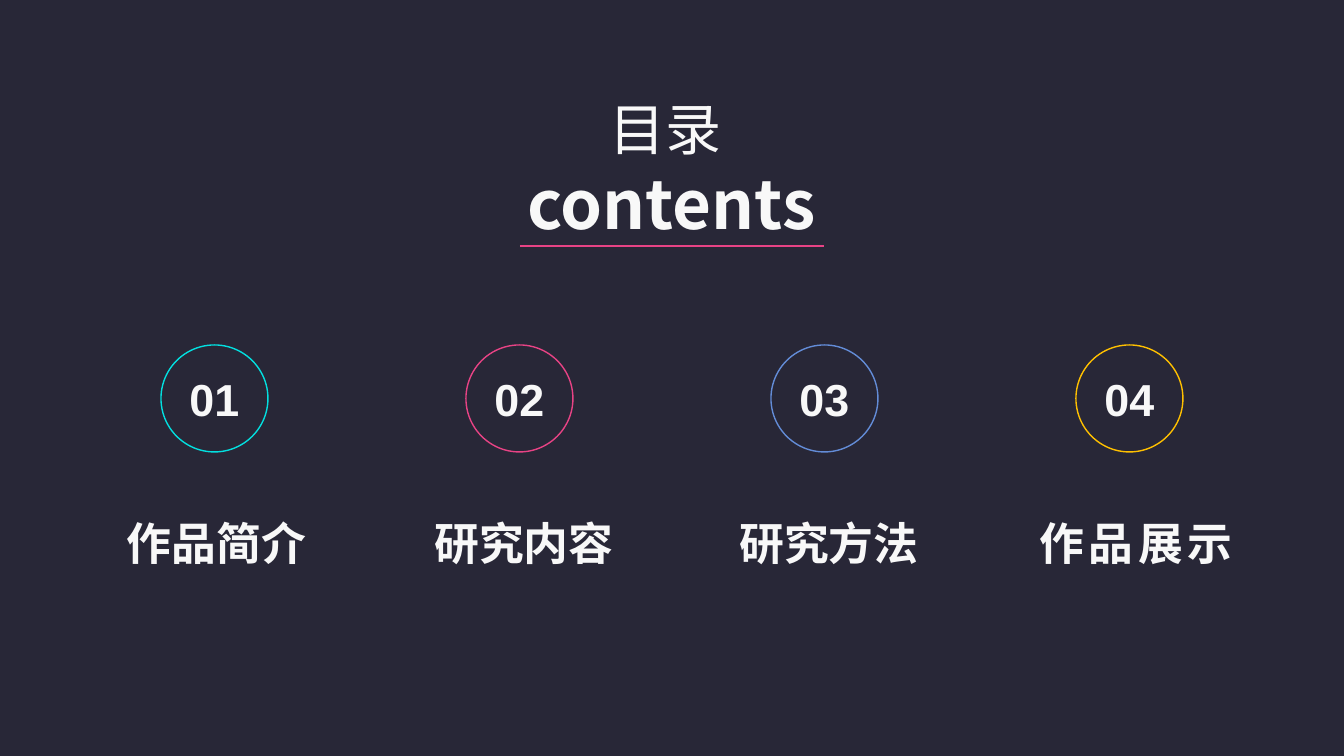
import pptx
import pptx.util
from pptx.dml.color import RGBColor
from pptx.enum.shapes import MSO_CONNECTOR, MSO_SHAPE
from pptx.enum.text import MSO_ANCHOR, PP_ALIGN
from pptx.oxml.ns import qn
from lxml import etree

EMU_PER_PX = 914400 / 100.8
BACKGROUND = RGBColor(0x28, 0x27, 0x37)
WHITE = RGBColor(0xF8, 0xF8, 0xF8)
CYAN = RGBColor(0x03, 0xDF, 0xDF)
PINK = RGBColor(0xE8, 0x43, 0x85)
BLUE = RGBColor(0x63, 0x8C, 0xD7)
YELLOW = RGBColor(0xFF, 0xC0, 0x00)
LATIN_FONT = "Arial"
CHINESE_FONT = "Noto Sans CJK SC"

CIRCLE_LEFT, CIRCLE_TOP, CIRCLE_SIZE, CIRCLE_PITCH = 161, 345, 107, 305
LABEL_TOP, LABEL_HEIGHT = 511, 65


def px(length):
    return pptx.util.Emu(round(length * EMU_PER_PX))


def write(paragraph, text, *, size=32, font=LATIN_FONT, bold=True, spacing=0):
    """Add a centred run; spacing is the letter spacing in points."""
    paragraph.alignment = PP_ALIGN.CENTER
    run = paragraph.add_run()
    run.text = text
    run.font.size = pptx.util.Pt(size)
    run.font.name = font
    run.font.bold = bold
    run.font.color.rgb = WHITE
    properties = run.font._element
    if font == CHINESE_FONT:
        etree.SubElement(properties, qn("a:ea")).set("typeface", font)
    if spacing:
        properties.set("spc", str(spacing * 100))


def add_text_box(slide, left, top, width, height, wrap=True):
    frame = slide.shapes.add_textbox(px(left), px(top), px(width), px(height)).text_frame
    frame.word_wrap = wrap
    return frame


def add_number_circle(slide, left, number, color):
    circle = slide.shapes.add_shape(
        MSO_SHAPE.OVAL, px(left), px(CIRCLE_TOP), px(CIRCLE_SIZE), px(CIRCLE_SIZE)
    )
    circle.shadow.inherit = False
    circle.fill.background()
    circle.line.color.rgb = color
    circle.line.width = pptx.util.Pt(1)
    circle.text_frame.vertical_anchor = MSO_ANCHOR.MIDDLE
    write(circle.text_frame.paragraphs[0], number)


def add_rule(slide, left, right, y):
    rule = slide.shapes.add_connector(
        MSO_CONNECTOR.STRAIGHT, px(left), px(y), px(right), px(y)
    )
    rule.line.color.rgb = PINK
    rule.line.width = pptx.util.Pt(2)
    etree.SubElement(rule._element.spPr, qn("a:effectLst"))


def add_title(slide):
    frame = add_text_box(slide, 513, 90, 317, 159, wrap=False)
    chinese = frame.paragraphs[0]
    write(chinese, "目录", size=40, font=CHINESE_FONT, bold=False)
    write(chinese, " ", size=36, font=CHINESE_FONT, bold=False)
    write(frame.add_paragraph(), "contents", size=48, font=CHINESE_FONT)
    add_rule(slide, 520, 824, 246)


def main():
    presentation = pptx.Presentation()
    presentation.slide_width = px(1344)
    presentation.slide_height = px(756)
    slide = presentation.slides.add_slide(presentation.slide_layouts[6])
    slide.background.fill.solid()
    slide.background.fill.fore_color.rgb = BACKGROUND

    # title, colour, label left, label width, label format
    chapters = [
        ("作品简介", CYAN, 104, 225, {}),
        ("研究内容", PINK, 421, 206, {}),
        ("研究方法", BLUE, 724, 210, {}),
        ("作品展示", YELLOW, 1023, 226, {"font": CHINESE_FONT, "spacing": 3}),
    ]
    for index, (title, color, left, width, label_format) in enumerate(chapters):
        circle_left = CIRCLE_LEFT + index * CIRCLE_PITCH
        add_number_circle(slide, circle_left, f"{index + 1:02}", color)
        label = add_text_box(slide, left, LABEL_TOP, width, LABEL_HEIGHT)
        write(label.paragraphs[0], title, **label_format)

    add_title(slide)
    presentation.save("out.pptx")


if __name__ == "__main__":
    main()
